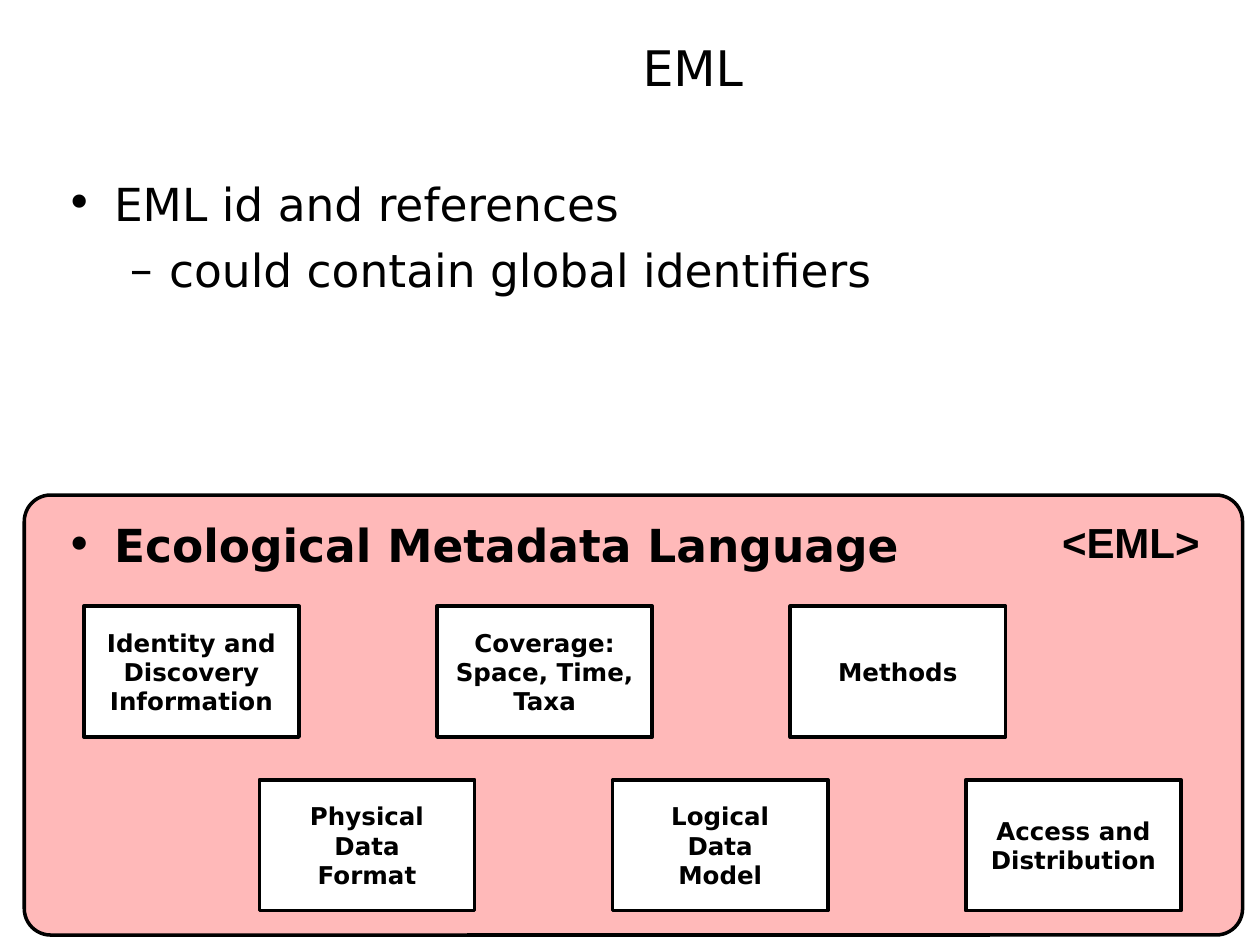
from lxml import etree
from pptx import Presentation
from pptx import util as u
from pptx.dml.color import RGBColor
from pptx.enum import shapes, text
from pptx.oxml.ns import qn

COLORS = {"ink": "000000", "paper": "FFFFFF", "panel": "FF5E5E"}
FONT = "DejaVu Sans"
TITLE = "EML"
TAG = "<EML>"

# text, bullet, level, left margin cm, hanging cm, space before pt, bold
BULLETS = [
    ("EML id and references", "•", 0, 1.07, 0.97, 8, False),
    ("could contain global identifiers", "–", 1, 2.18, 0.79, 7, False),
    ("Ecological Metadata Language", "•", 0, 1.07, 0.97, 126, True),
]

# Each row: left of its first box, top, module names
MODULE_ROWS = [
    (1.69, 12.22, ["Identity and\nDiscovery Information",
                   "Coverage:\nSpace, Time, Taxa", "Methods"]),
    (5.23, 15.72, ["Physical\nData\nFormat", "Logical\nData\nModel",
                   "Access and Distribution"]),
]
MODULE_SIZE = (4.34, 2.64)
MODULE_PITCH = 7.12


def color(name):
    return RGBColor.from_string(COLORS[name])


def set_frame(shape, insets, anchor=text.MSO_ANCHOR.TOP, wrap=True):
    frame = shape.text_frame
    frame.word_wrap = wrap
    frame.vertical_anchor = anchor
    (frame.margin_left, frame.margin_top,
     frame.margin_right, frame.margin_bottom) = [u.Cm(inset) for inset in insets]
    return frame


def format_text(para, size, bold=False, font=FONT, align=text.PP_ALIGN.LEFT):
    para.alignment = align
    for span in para.runs:
        span.font.size = u.Pt(size)
        span.font.bold = bold
        span.font.name = font
        span.font.color.rgb = color("ink")


def add_box(page, kind, place, fill):
    box = page.shapes.add_shape(kind, *[u.Cm(length) for length in place])
    box.shadow.inherit = False
    box.fill.solid()
    box.fill.fore_color.rgb = color(fill)
    box.line.color.rgb = color("ink")
    box.line.width = u.Pt(2)
    return box


def add_bullet(para, mark, margin, hanging):
    props = para._p.get_or_add_pPr()
    props.set("marL", str(u.Cm(margin)))
    props.set("indent", str(-u.Cm(hanging)))
    tint = etree.SubElement(props, qn("a:buClr"))
    etree.SubElement(tint, qn("a:srgbClr"), val=COLORS["ink"])
    etree.SubElement(props, qn("a:buFont"), typeface=FONT)
    etree.SubElement(props, qn("a:buChar"), char=mark)


def main():
    deck = Presentation()
    deck.slide_width, deck.slide_height = u.Cm(25.4), u.Cm(19.05)
    page = deck.slides.add_slide(deck.slide_layouts[5])

    # Title
    title = page.shapes.title
    title.left, title.top, title.width, title.height = [
        u.Cm(length) for length in (3.39, 0, 21.25, 2.7)]
    frame = set_frame(title, (0.26, 0.16, 0.36, 0.16), text.MSO_ANCHOR.MIDDLE)
    frame.text = TITLE
    format_text(frame.paragraphs[0], 28, align=text.PP_ALIGN.CENTER)

    # Translucent panel
    panel = add_box(page, shapes.MSO_SHAPE.ROUNDED_RECTANGLE,
                    (0.49, 9.98, 24.56, 8.87), "panel")
    panel.adjustments[0] = 0.06
    tint = panel._element.spPr.find(qn("a:solidFill")).find(qn("a:srgbClr"))
    etree.SubElement(tint, qn("a:alpha"), val="43000")

    # Metadata modules, in two staggered rows
    for left, top, names in MODULE_ROWS:
        for column, name in enumerate(names):
            place = (left + column * MODULE_PITCH, top, *MODULE_SIZE)
            box = add_box(page, shapes.MSO_SHAPE.RECTANGLE, place, "paper")
            frame = set_frame(box, [0.1] * 4, text.MSO_ANCHOR.MIDDLE)
            frame.text = name
            for para in frame.paragraphs:
                format_text(para, 14, True, align=text.PP_ALIGN.CENTER)

    # Panel tag
    tag = page.shapes.add_textbox(u.Cm(21.31), u.Cm(10.41), u.Cm(3), u.Cm(1.02))
    frame = set_frame(tag, (0.1, 0, 0.1, 0), wrap=False)
    frame.text = TAG
    format_text(frame.paragraphs[0], 24, True, "Arial")

    # Bulleted text, its last line heading the panel
    body = page.shapes.add_textbox(u.Cm(1.07), u.Cm(3.38), u.Cm(23.29), u.Cm(15.67))
    frame = set_frame(body, (0.16, 0.16, 0.36, 0.16))
    frame.text = "\n".join(item[0] for item in BULLETS)
    for para, item in zip(frame.paragraphs, BULLETS):
        _, mark, level, margin, hanging, space, bold = item
        para.level = level
        para.space_before = u.Pt(space)
        format_text(para, 26, bold)
        add_bullet(para, mark, margin, hanging)

    deck.save("out.pptx")


if __name__ == "__main__":
    main()
